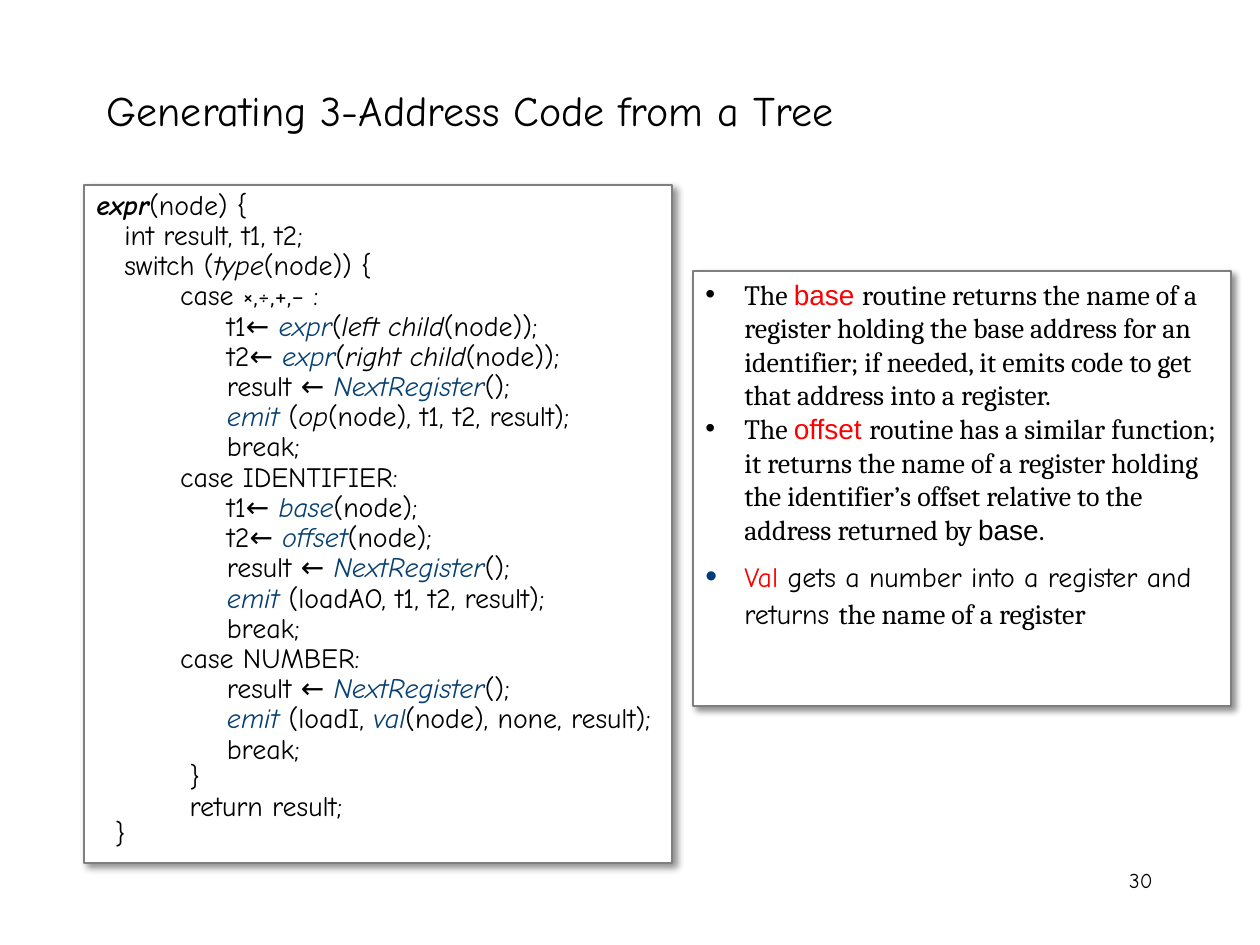
from lxml import etree
from pptx import Presentation
from pptx.dml.color import RGBColor
from pptx.enum.shapes import MSO_SHAPE
from pptx.enum.text import MSO_ANCHOR, MSO_AUTO_SIZE, PP_ALIGN
from pptx.oxml.ns import qn
from pptx.util import Emu, Pt

RECTANGLE = MSO_SHAPE.RECTANGLE
TOP, MIDDLE = MSO_ANCHOR.TOP, MSO_ANCHOR.MIDDLE
LEFT, RIGHT = PP_ALIGN.LEFT, PP_ALIGN.RIGHT
FIXED_SIZE = MSO_AUTO_SIZE.NONE

BLACK = RGBColor(0x00, 0x00, 0x00)
WHITE = RGBColor(0xFF, 0xFF, 0xFF)
GRAY = RGBColor(0x7F, 0x7F, 0x7F)
RED = RGBColor(0xFF, 0x00, 0x00)
BLUE = RGBColor(0x07, 0x40, 0x73)
BULLET_BLUE = RGBColor(0x00, 0x3C, 0x75)

COMIC, SERIF, SANS = "Comic Neue", "Cambria", "Arial"
EMU_PER_PX = 914400 / 126

# Run styles: font, colour, bold, italic
CODE = (COMIC, BLACK, False, False)
NAME = (COMIC, BLACK, True, True)
ITALIC = (COMIC, BLACK, False, True)
CALL = (COMIC, BLUE, False, True)
COMIC_RED = (COMIC, RED, False, False)
BODY = (SERIF, BLACK, False, False)
SANS_BLACK = (SANS, BLACK, False, False)
SANS_RED = (SANS, RED, False, False)

# Lines of the algorithm, each a list of (text, style)
NEXT_REGISTER = [("              result ← ", CODE), ("NextRegister", CALL), ("();", CODE)]
EMIT = [("              ", CODE), ("emit ", CALL)]
BREAK = [("              break;", CODE)]


def child_line(target, side):
    return [(f"              {target}← ", CODE), ("expr", CALL), ("(", CODE),
            (f"{side} child", ITALIC), ("(node));", CODE)]


def lookup_line(target, routine):
    return [(f"              {target}← ", CODE), (routine, CALL), ("(node);", CODE)]


CODE_LINES = [
    [("expr", NAME), ("(node) {", CODE)],
    [("   int result, t1, t2;", CODE)],
    [("   switch (", CODE), ("type", ITALIC), ("(node)) {", CODE)],
    [("         case ×,÷,+,− :", CODE)],
    child_line("t1", "left"),
    child_line("t2", "right"),
    NEXT_REGISTER,
    EMIT + [("(", CODE), ("op", ITALIC), ("(node), t1, t2, result);", CODE)],
    BREAK,
    [("         case IDENTIFIER:", CODE)],
    lookup_line("t1", "base"),
    lookup_line("t2", "offset"),
    NEXT_REGISTER,
    EMIT + [("(loadAO, t1, t2, result);", CODE)],
    BREAK,
    [("         case NUMBER:", CODE)],
    NEXT_REGISTER,
    EMIT + [("(loadI, ", CODE), ("val", CALL), ("(node), none, result);", CODE)],
    BREAK,
    [("          }", CODE)],
    [("          return result;", CODE)],
    [("  }", CODE)],
]

ROUTINE_NOTES = [
    [("The ", BODY), ("base ", SANS_RED),
     ("routine returns the name of a register holding the base address for an "
      "identifier; if needed, it emits code to get that address into a register.", BODY)],
    [("The ", BODY), ("offset ", SANS_RED),
     ("routine has a similar function; it returns the name of a register holding "
      "the identifier’s offset relative to the address returned by ", BODY),
     ("base", SANS_BLACK), (".", BODY)],
    [("Val", COMIC_RED), (" gets a number into a register and returns ", CODE),
     ("the name of a register", BODY)],
]


def px(value):
    return Emu(round(value * EMU_PER_PX))


def add_runs(paragraph, segments, size):
    for text, (font, color, bold, italic) in segments:
        run = paragraph.add_run()
        run.text = text
        run.font.name = font
        run.font.size = Pt(size)
        run.font.color.rgb = color
        run.font.bold = bold
        run.font.italic = italic


def add_paragraphs(text_frame, lines, size):
    for index, segments in enumerate(lines):
        paragraph = text_frame.add_paragraph() if index else text_frame.paragraphs[0]
        paragraph.alignment = LEFT
        add_runs(paragraph, segments, size)
    return text_frame.paragraphs


def add_bullet(paragraph, indent, color=BLACK, percent=100):
    properties = paragraph._p.get_or_add_pPr()
    properties.set("marL", str(px(indent)))
    properties.set("indent", str(-px(indent)))
    bullet_color = etree.SubElement(properties, qn("a:buClr"))
    etree.SubElement(bullet_color, qn("a:srgbClr"), val=str(color))
    etree.SubElement(properties, qn("a:buSzPct"), val=str(percent * 1000))
    etree.SubElement(properties, qn("a:buFont"), typeface=SANS)
    etree.SubElement(properties, qn("a:buChar"), char="•")


def add_drop_shadow(shape):
    effects = etree.SubElement(shape._element.spPr, qn("a:effectLst"))
    shadow = etree.SubElement(effects, qn("a:outerShdw"), blurRad=str(Pt(4)),
                              dist=str(Pt(3)), dir=str(45 * 60000),
                              algn="tl", rotWithShape="0")
    color = etree.SubElement(shadow, qn("a:srgbClr"), val=str(BLACK))
    etree.SubElement(color, qn("a:alpha"), val="43000")


def add_panel(slide, left, top, width, height):
    panel = slide.shapes.add_shape(RECTANGLE, px(left), px(top), px(width), px(height))
    panel.fill.solid()
    panel.fill.fore_color.rgb = WHITE
    panel.line.color.rgb = GRAY
    panel.line.width = Pt(1.5)
    add_drop_shadow(panel)
    panel.text_frame.word_wrap = True
    panel.text_frame.vertical_anchor = TOP
    return panel.text_frame


def set_title(slide, text):
    title = slide.shapes.title
    title.left, title.top, title.width, title.height = px(94), px(73), px(1113), px(73)
    title.text_frame.auto_size = FIXED_SIZE
    title.text_frame.vertical_anchor = MIDDLE
    paragraph = title.text_frame.paragraphs[0]
    paragraph.alignment = LEFT
    add_runs(paragraph, [(text, CODE)], 24)


def add_page_number(slide, number):
    box = slide.shapes.add_textbox(px(903), px(861), px(262), px(63))
    box.text_frame.word_wrap = True
    paragraph = box.text_frame.paragraphs[0]
    paragraph.alignment = RIGHT
    add_runs(paragraph, [(number, CODE)], 12)


def add_routine_notes(slide):
    text_frame = add_panel(slide, 693, 271, 538, 435)
    *routines, value_note = add_paragraphs(text_frame, ROUTINE_NOTES, 16)
    for paragraph in routines:
        add_bullet(paragraph, 39)
    add_bullet(value_note, 39, BULLET_BLUE, 120)
    value_note.line_spacing = Pt(21)
    value_note.space_before = Pt(6)


def add_code(slide):
    text_frame = add_panel(slide, 84, 185, 588, 678)
    for paragraph in add_paragraphs(text_frame, CODE_LINES, 16):
        closing = paragraph.text.strip() == "}"
        paragraph.line_spacing = 0.8 if closing else 0.9


def main():
    presentation = Presentation()
    presentation.slide_width, presentation.slide_height = px(1260), px(945)
    slide = presentation.slides.add_slide(presentation.slide_layouts[5])
    set_title(slide, "Generating 3-Address Code from a Tree")
    add_page_number(slide, "30")
    add_routine_notes(slide)
    add_code(slide)
    presentation.save("out.pptx")


if __name__ == "__main__":
    main()
